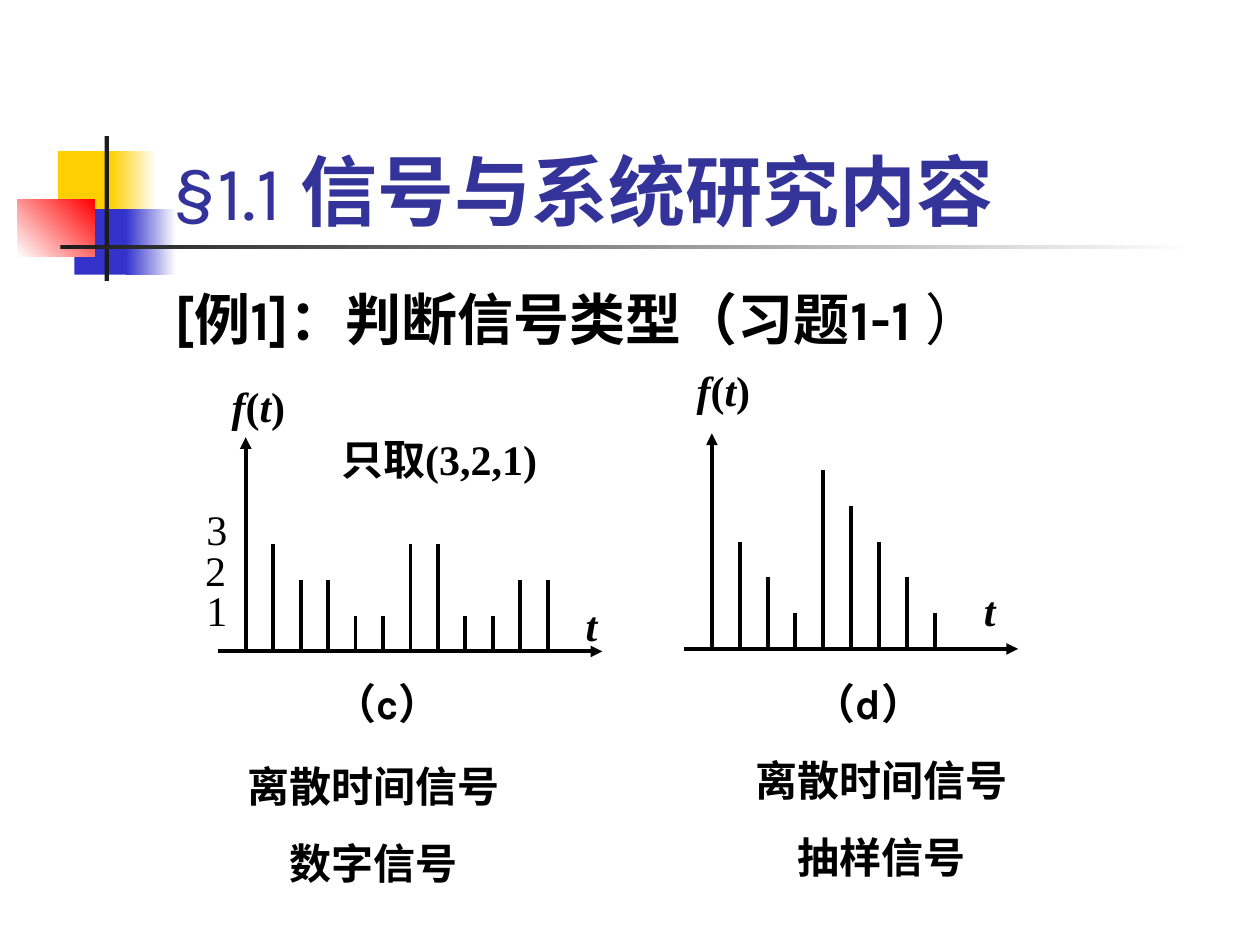
from dataclasses import dataclass
from typing import NamedTuple

from lxml.etree import SubElement
from pptx import Presentation
from pptx.dml.color import RGBColor
from pptx.enum.shapes import MSO_CONNECTOR, MSO_SHAPE
from pptx.enum.text import MSO_ANCHOR, PP_ALIGN
from pptx.oxml.ns import qn
from pptx.util import Inches, Pt


@dataclass(frozen=True)
class Theme:
    black: str = "000000"
    white: str = "FFFFFF"
    title: str = "333399"
    yellow: str = "FFCF01"
    blue: str = "3333CC"
    red: str = "FF0000"
    rule: str = "1C1C1C"
    sans: str = "Karla"
    chinese: str = "Noto Sans CJK SC"
    serif: str = "Times New Roman"
    title_size: float = 44
    body_size: float = 32
    label_size: float = 24
    stroke: float = 2.25


class Area(NamedTuple):
    left: float
    top: float
    width: float
    height: float


class Span(NamedTuple):
    text: str
    style: dict = {}


class Block(NamedTuple):
    area: Area
    start: str
    end: str | None = None
    angle: float = 0


class Label(NamedTuple):
    area: Area
    lines: list
    style: dict


class StemPlot(NamedTuple):
    origin_column: float
    base_row: float
    stem_gap: float
    axis_end: float
    axis_top: float
    levels: tuple


THEME = Theme()
GRID = Inches(0.1)
LEVEL_ROWS = 2.84
AXIS_OVERHANG = 2.2


def cells(count: float) -> int:
    return round(count * GRID)


def color(code: str) -> RGBColor:
    return RGBColor.from_string(code)


def draw_block(page, block: Block) -> None:
    box = page.shapes.add_shape(MSO_SHAPE.RECTANGLE, *map(cells, block.area))
    box.shadow.inherit = False
    box.line.fill.background()
    if block.end is None:
        box.fill.solid()
        box.fill.fore_color.rgb = color(block.start)
        return
    box.fill.gradient()
    box.fill.gradient_angle = block.angle
    for stop, position, code in zip(box.fill.gradient_stops, (0, 1), (block.start, block.end)):
        stop.position = position
        stop.color.rgb = color(code)


def draw_line(page, start: tuple, end: tuple, arrow: bool = False) -> None:
    line = page.shapes.add_connector(MSO_CONNECTOR.STRAIGHT, *map(cells, (*start, *end)))
    line.line.color.rgb = color(THEME.black)
    line.line.width = Pt(THEME.stroke)
    if arrow:
        SubElement(line.line._get_or_add_ln(), qn("a:tailEnd"), type="triangle")
    SubElement(line._element.spPr, qn("a:effectLst"))


def format_span(span, font: str = THEME.sans, size: float = THEME.label_size,
                tint: str = THEME.black, bold: bool = False, italic: bool = False) -> None:
    span.font.name = font
    span.font.size = Pt(size)
    span.font.color.rgb = color(tint)
    span.font.bold = bold
    span.font.italic = italic
    SubElement(span.font._element, qn("a:ea"), typeface=THEME.chinese)


def write(page, area: Area, lines: list, align=PP_ALIGN.JUSTIFY, anchor=MSO_ANCHOR.TOP,
          space_before: float = 0, **style) -> None:
    frame = page.shapes.add_textbox(*map(cells, area)).text_frame
    frame.word_wrap = True
    frame.vertical_anchor = anchor
    for index, spans in enumerate(lines):
        para = frame.paragraphs[0] if index == 0 else frame.add_paragraph()
        para.alignment = align
        para.space_before = Pt(space_before)
        for part in spans:
            span = para.add_run()
            span.text = part.text
            format_span(span, **{**style, **part.style})


def draw_stem_plot(page, plot: StemPlot) -> None:
    column, base = plot.origin_column, plot.base_row
    draw_line(page, (column, base), (column, plot.axis_top), arrow=True)
    draw_line(page, (column - AXIS_OVERHANG, base), (plot.axis_end, base), arrow=True)
    for index, level in enumerate(plot.levels, start=1):
        stem = column + index * plot.stem_gap
        draw_line(page, (stem, base), (stem, base - level * LEVEL_ROWS))


BLOCKS = [
    Block(Area(4.6, 12, 4.8, 5.2), THEME.yellow),
    Block(Area(8.8, 12, 3.6, 5.2), THEME.yellow, THEME.white),
    Block(Area(5.9, 16.6, 4.6, 5.2), THEME.blue),
    Block(Area(10, 16.6, 4, 5.2), THEME.blue, THEME.white),
    Block(Area(1.4, 15.8, 6.1, 4.6), THEME.white, THEME.red, 45),
    Block(Area(8.3, 10.8, 0.35, 11.5), THEME.rule),
    Block(Area(4.8, 19.45, 90, 0.35), THEME.rule, THEME.white),
]

PLOTS = [
    StemPlot(19.5, 51.7, 2.18, 47.8, 34.7, (3, 2, 2, 1, 1, 3, 3, 1, 1, 2, 2)),
    StemPlot(56.5, 51.5, 2.21, 80.8, 34.4, (3, 2, 1, 5, 4, 3, 2, 1)),
]

UPRIGHT = {"italic": False}
FUNCTION = [[Span("f"), Span("(", UPRIGHT), Span("t"), Span(")", UPRIGHT)]]
TIME = [[Span("t")]]
MATH = dict(font=THEME.serif, bold=True, italic=True)
NUMBER = dict(font=THEME.serif)
CAPTION = dict(align=PP_ALIGN.CENTER, space_before=15, bold=True)

LABELS = [
    Label(Area(12.6, 6.7, 85.2, 12.5),
          [[Span("§1.1 "), Span("信号与系统研究内容", dict(font=THEME.chinese, bold=True))]],
          dict(align=PP_ALIGN.LEFT, anchor=MSO_ANCHOR.BOTTOM,
               size=THEME.title_size, tint=THEME.title)),
    Label(Area(12.9, 22.1, 85, 45),
          [[Span("[例1]：判断信号类型（习题1-1 "), Span("）", dict(bold=False))]],
          dict(align=PP_ALIGN.LEFT, space_before=8, size=THEME.body_size, bold=True)),
    Label(Area(14.3, 59.9, 30.7, 11.1), [[Span("离散时间信号")], [Span("数字信号")]], CAPTION),
    Label(Area(51.8, 59.4, 36.4, 11.1), [[Span("离散时间信号")], [Span("抽样信号")]], CAPTION),
    Label(Area(15.4, 45.9, 5.7, 5), [[Span("1")]], NUMBER),
    Label(Area(15.3, 42.7, 5.7, 4.8), [[Span("2")]], NUMBER),
    Label(Area(15.4, 39.5, 5, 4.6), [[Span("3")]], NUMBER),
    Label(Area(26.1, 33.9, 18.7, 5.4), [[Span("只取(3,2,1)")]], dict(font=THEME.serif, bold=True)),
    Label(Area(45.5, 47.1, 5.7, 5.3), TIME, MATH),
    Label(Area(77.1, 45.9, 6.6, 5.1), TIME, MATH),
    Label(Area(17.4, 29.7, 7.7, 8.2), FUNCTION, MATH),
    Label(Area(54.3, 28.4, 8.9, 5.6), FUNCTION, MATH),
    Label(Area(18.3, 53.3, 24.9, 5), [[Span("（c）")]], CAPTION),
    Label(Area(56.5, 53.3, 24.9, 5), [[Span("（d）")]], CAPTION),
]


def main() -> None:
    deck = Presentation()
    deck.slide_width, deck.slide_height = cells(100), cells(75)
    page = deck.slides.add_slide(deck.slide_layouts[6])
    for block in BLOCKS:
        draw_block(page, block)
    for label in LABELS:
        write(page, label.area, label.lines, **label.style)
    for plot in PLOTS:
        draw_stem_plot(page, plot)
    deck.save("out.pptx")


if __name__ == "__main__":
    main()
